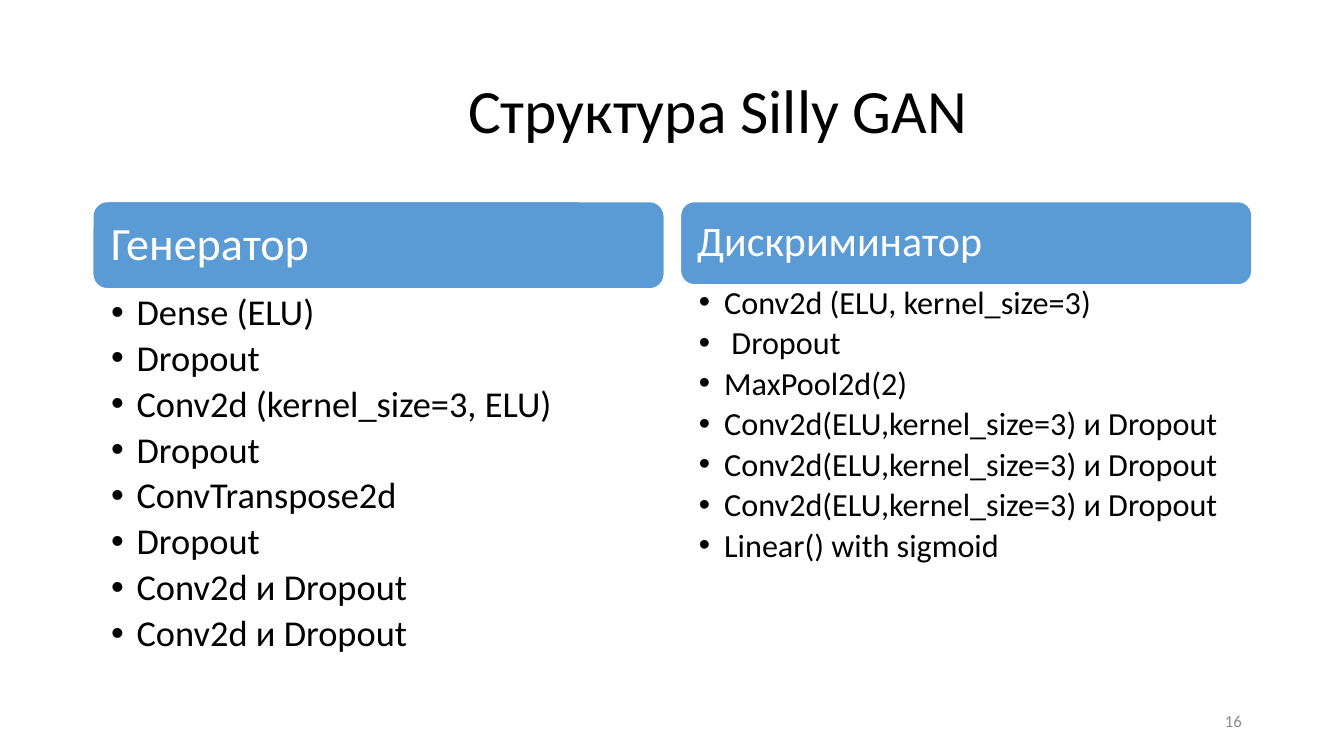
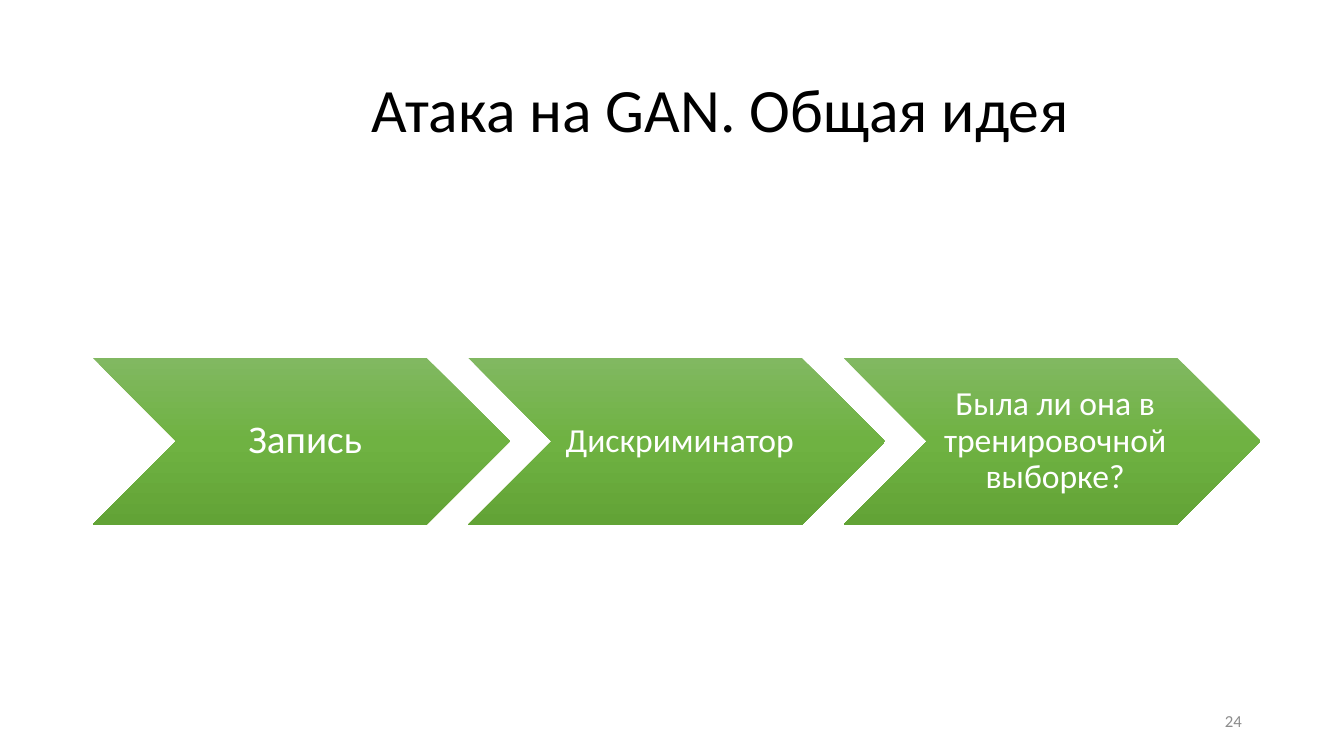
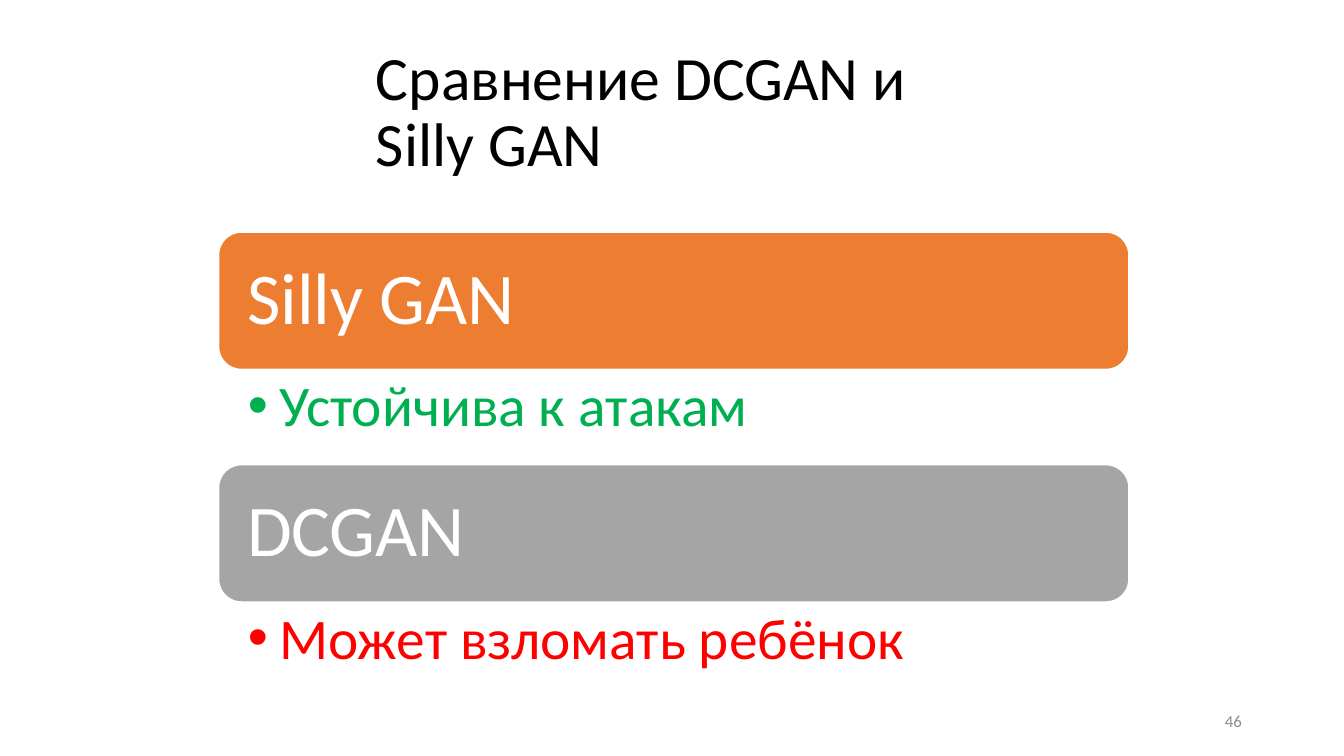
from copy import deepcopy
from dataclasses import dataclass

from lxml import etree
from pptx import Presentation
from pptx import util as u
from pptx.dml.color import RGBColor
from pptx.enum import shapes, text
from pptx.oxml.ns import qn


@dataclass(frozen=True)
class Theme:
    font: str = "Calibri"
    ink: str = "000000"
    paper: str = "FFFFFF"
    muted: str = "8C8C8C"
    blue: str = "5B9BD5"
    orange: str = "ED7D31"
    gray: str = "A5A5A5"
    good: str = "00B050"
    bad: str = "FF0000"
    chevron_stops: tuple = ((0, "81B861"), (0.5, "6FB242"), (1, "62A336"))
    title_size: int = 44
    number_size: int = 12
    compare_header_size: int = 52
    compare_list_size: int = 41
    generator_header_size: int = 33
    generator_list_size: int = 26
    discriminator_header_size: int = 30
    discriminator_list_size: int = 23
    step_size: int = 28
    long_step_size: int = 24


THEME = Theme()
TWO_LISTS, TITLE_ONLY = 3, 5
LEFT, CENTER, RIGHT = text.PP_ALIGN.LEFT, text.PP_ALIGN.CENTER, text.PP_ALIGN.RIGHT
TOP, MIDDLE = text.MSO_ANCHOR.TOP, text.MSO_ANCHOR.MIDDLE


def place(item, left, top, width, height):
    """Move and size an item, in centimetres."""
    item.left, item.top = u.Cm(left), u.Cm(top)
    item.width, item.height = u.Cm(width), u.Cm(height)


def write(frame, paragraphs, *, size, color, align=LEFT, anchor=MIDDLE, insets=None,
          line_spacing=0.9, space_after=0, bullet_indent=None):
    """Fill a text frame; insets are left, top, right, bottom in centimetres."""
    frame.word_wrap = True
    frame.auto_size = text.MSO_AUTO_SIZE.NONE
    frame.vertical_anchor = anchor
    if insets:
        (frame.margin_left, frame.margin_top,
         frame.margin_right, frame.margin_bottom) = map(u.Cm, insets)
    for index, line in enumerate(paragraphs):
        paragraph = frame.add_paragraph() if index else frame.paragraphs[0]
        paragraph.text = line
        if bullet_indent:
            add_bullet(paragraph, bullet_indent)
        paragraph.alignment = align
        paragraph.line_spacing = line_spacing
        paragraph.space_before = u.Pt(0)
        paragraph.space_after = u.Pt(space_after)
        for run in paragraph.runs:
            run.font.name = THEME.font
            run.font.size = u.Pt(size)
            run.font.color.rgb = RGBColor.from_string(color)


def add_bullet(paragraph, indent):
    properties = paragraph._p.get_or_add_pPr()
    properties.set("marL", str(u.Cm(indent)))
    properties.set("indent", str(-u.Cm(indent)))
    etree.SubElement(properties, qn("a:buFont")).set("typeface", "Arial")
    etree.SubElement(properties, qn("a:buChar")).set("char", "•")


class Deck:
    """The presentation, its style and the slide being built."""

    def __init__(self, theme):
        self.theme = theme
        self.presentation = Presentation()
        self.presentation.slide_width = u.Cm(33.87)
        self.presentation.slide_height = u.Cm(19.05)
        self.slide = None

    def new_slide(self, layout, number):
        layouts = self.presentation.slide_layouts
        self.slide = self.presentation.slides.add_slide(layouts[layout])
        number_box = self.slide.shapes.add_textbox(
            u.Cm(23.93), u.Cm(17.65), u.Cm(7.62), u.Cm(1.02))
        write(number_box.text_frame, [str(number)], size=self.theme.number_size,
              color=self.theme.muted, align=RIGHT, line_spacing=1)

    def title(self, words, bounds, **layout):
        heading = self.slide.shapes.title
        place(heading, *bounds)
        write(heading.text_frame, [words], size=self.theme.title_size,
              color=self.theme.ink, **layout)

    def shape(self, preset, left, top, width, height):
        shape = self.slide.shapes.add_shape(
            preset, u.Cm(left), u.Cm(top), u.Cm(width), u.Cm(height))
        shape.shadow.inherit = False
        return shape

    def header(self, words, bounds, *, size, fill):
        bar = self.shape(shapes.MSO_SHAPE.ROUNDED_RECTANGLE, *bounds)
        bar.fill.solid()
        bar.fill.fore_color.rgb = RGBColor.from_string(fill)
        bar.line.color.rgb = RGBColor.from_string(self.theme.paper)
        bar.line.width = u.Pt(1)
        inset = u.Pt(size * 0.3).cm
        write(bar.text_frame, [words], size=size, color=self.theme.paper,
              insets=[inset] * 4)

    def bullets(self, slot, items, bounds, *, size, color, indent):
        """Fill the body placeholder with index slot."""
        body = self.slide.placeholders[slot]
        place(body, *bounds)
        edge = u.Pt(size * 0.13).cm
        write(body.text_frame, items, size=size, color=color, anchor=TOP,
              insets=[bounds[2] * 0.032, edge, u.Pt(size * 0.71).cm, edge],
              space_after=round(size * 0.18, 1), bullet_indent=indent)

    def chevron(self, words, bounds, *, size):
        step = self.shape(shapes.MSO_SHAPE.CHEVRON, *bounds)
        step.line.fill.background()
        step.fill.gradient()
        step.fill.gradient_angle = 270
        stop_list = step.element.spPr.find(qn("a:gradFill")).find(qn("a:gsLst"))
        stop_list.insert(1, deepcopy(stop_list[0]))
        for stop, (position, color) in zip(step.fill.gradient_stops,
                                           self.theme.chevron_stops):
            stop.position = position
            stop.color.rgb = RGBColor.from_string(color)
        write(step.text_frame, [words], size=size, color=self.theme.paper,
              align=CENTER, insets=[u.Pt(size * 0.3).cm, 0.1, 0.1, 0.1])


def structure_slide(deck):
    theme = deck.theme
    deck.new_slide(TWO_LISTS, 16)
    deck.title("Структура Silly GAN", (8.94, 1.02, 18.31, 3.68), align=CENTER)
    repeated_layer = "Conv2d(ELU,kernel_size=3) и Dropout"
    networks = [
        ("Генератор", 2.34, 2.2, 7.29, 9.86,
         theme.generator_header_size, theme.generator_list_size,
         ["Dense (ELU)", "Dropout", "Conv2d (kernel_size=3, ELU)", "Dropout",
          "ConvTranspose2d", "Dropout"] + ["Conv2d и Dropout"] * 2),
        ("Дискриминатор", 17.15, 2.1, 7.11, 7.77,
         theme.discriminator_header_size, theme.discriminator_list_size,
         ["Conv2d (ELU, kernel_size=3)", " Dropout", "MaxPool2d(2)"]
         + [repeated_layer] * 3 + ["Linear() with sigmoid"]),
    ]
    width = 14.4
    for slot, (name, left, header_height, list_top, list_height,
               header_size, list_size, layers) in enumerate(networks, 1):
        deck.header(name, (left, 5.08, width, header_height),
                    size=header_size, fill=theme.blue)
        deck.bullets(slot, layers, (left, list_top, width, list_height),
                     size=list_size, color=theme.ink, indent=0.64)


def attack_slide(deck):
    theme = deck.theme
    deck.new_slide(TITLE_ONLY, 24)
    deck.title("Атака на GAN. Общая идея", (9.12, 1.88, 22.43, 3.18), anchor=TOP)
    steps = [("Запись", theme.step_size),
             ("Дискриминатор", theme.long_step_size),
             ("Была ли она в тренировочной выборке?", theme.long_step_size)]
    for index, (words, size) in enumerate(steps):
        deck.chevron(words, (2.34 + 9.46 * index, 9.02, 10.51, 4.2), size=size)


def comparison_slide(deck):
    theme = deck.theme
    deck.new_slide(TWO_LISTS, 46)
    deck.title("Сравнение DCGAN и \nSilly GAN", (9.22, 1.02, 22.3, 3.68))
    verdicts = [("Silly GAN", theme.orange, "Устойчива к атакам", theme.good),
                ("DCGAN", theme.gray, "Может взломать ребёнок", theme.bad)]
    left, width, header_height, list_height = 5.51, 22.94, 3.46, 2.4
    for index, (model, fill, verdict, color) in enumerate(verdicts):
        top = 5.85 + index * (header_height + list_height)
        deck.header(model, (left, top, width, header_height),
                    size=theme.compare_header_size, fill=fill)
        deck.bullets(index + 1, [verdict],
                     (left, top + header_height, width, list_height),
                     size=theme.compare_list_size, color=color, indent=0.79)


def main():
    deck = Deck(THEME)
    structure_slide(deck)
    attack_slide(deck)
    comparison_slide(deck)
    deck.presentation.save("out.pptx")


if __name__ == "__main__":
    main()
